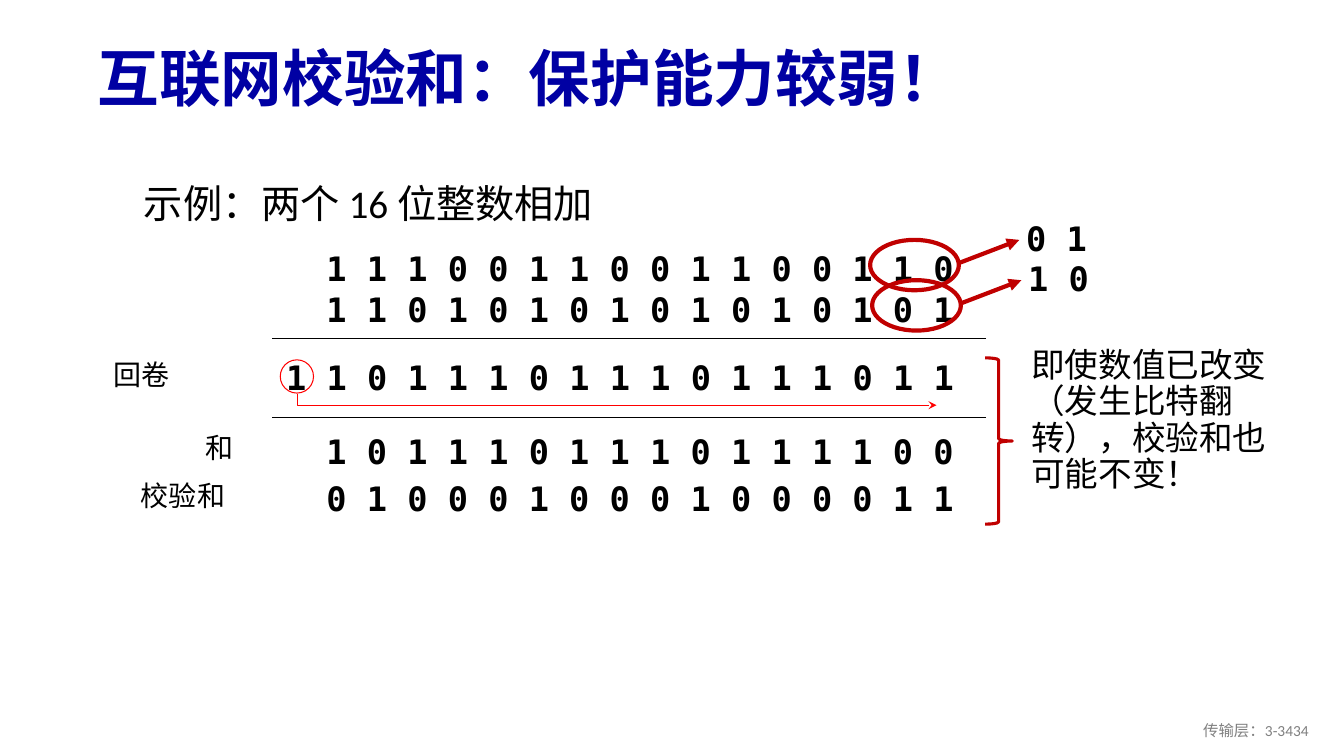
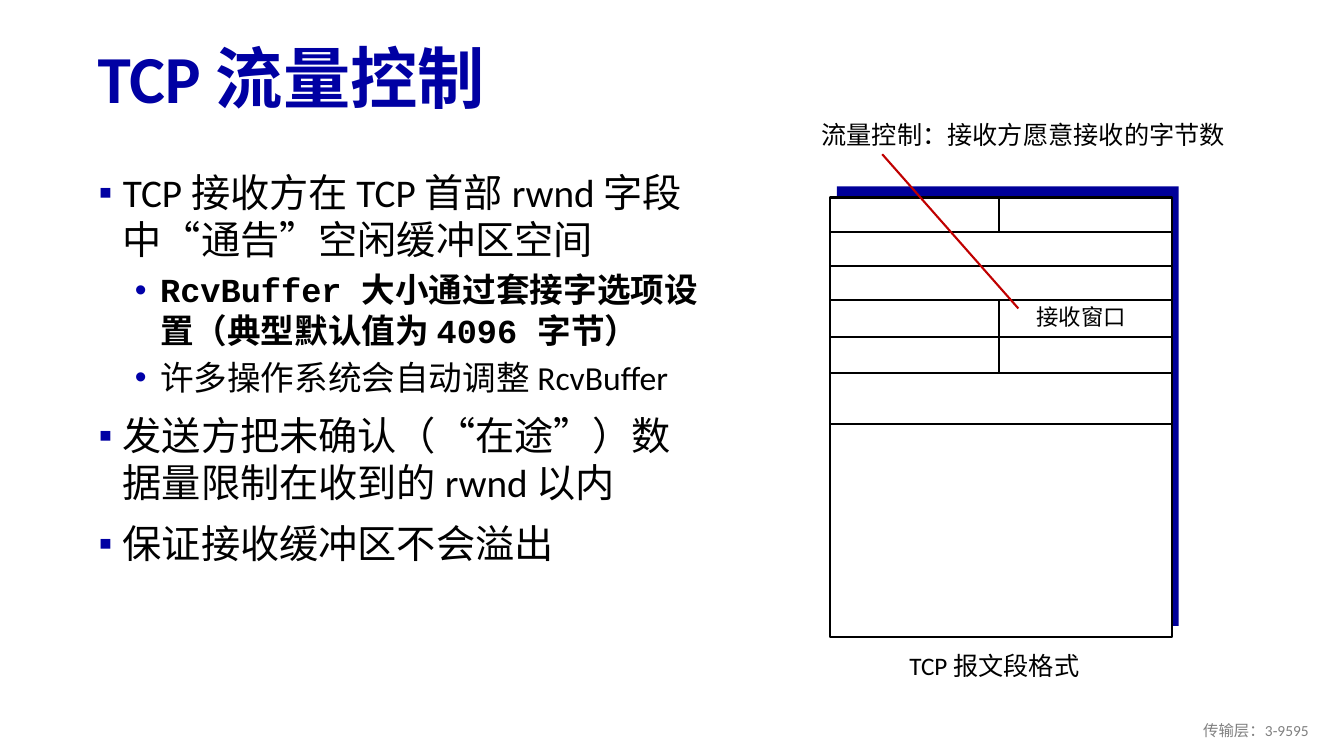
from dataclasses import dataclass
from itertools import accumulate
from typing import Optional

from lxml.etree import SubElement
from pptx import Presentation
from pptx.dml.color import RGBColor
from pptx.enum.shapes import MSO_CONNECTOR, MSO_SHAPE
from pptx.enum.text import MSO_ANCHOR, PP_ALIGN
from pptx.oxml.ns import qn
from pptx.util import Inches, Pt

BLACK = RGBColor(0x00, 0x00, 0x00)
WHITE = RGBColor(0xFF, 0xFF, 0xFF)
GRAY = RGBColor(0x80, 0x80, 0x80)
TITLE_BLUE = RGBColor(0x00, 0x00, 0xA3)
BULLET_BLUE = RGBColor(0x00, 0x00, 0xA8)
SHADOW_BLUE = RGBColor(0x00, 0x00, 0x99)
RED = RGBColor(0xFF, 0x00, 0x00)
DARK_RED = RGBColor(0xC0, 0x00, 0x00)

BODY_FONT = "Calibri"
BIT_FONT = "DejaVu Sans Mono"
CODE_FONT = "Courier New"
BLANK_LAYOUT = 6

BIT_PITCH = 0.4
BIT_LEFT = 3.14
RULE_LEFT, RULE_RIGHT = 2.7, 9.78


@dataclass(frozen=True)
class Style:
    size: float
    font: str = BODY_FONT
    color: RGBColor = BLACK
    bold: bool = False
    align: PP_ALIGN = PP_ALIGN.LEFT
    spacing: float = 1.0
    anchor: MSO_ANCHOR = MSO_ANCHOR.TOP


@dataclass(frozen=True)
class Level:
    mark: str
    color: RGBColor
    margin: float
    hanging: float
    before: float


@dataclass(frozen=True)
class Bullet:
    text: str
    level: Level
    style: Style


@dataclass(frozen=True)
class BitRow:
    bits: str
    top: float
    carry_columns: int = 0


@dataclass(frozen=True)
class Label:
    text: str
    left: float
    top: float


@dataclass(frozen=True)
class BitChange:
    bits: str
    left: float
    top: float


BITS = Style(24, BIT_FONT, bold=True)
LABEL = Style(20)
CAPTION = Style(18, spacing=0.9)
FOOTER = Style(11, color=GRAY, align=PP_ALIGN.RIGHT, anchor=MSO_ANCHOR.MIDDLE)
MAIN = Level("▪", TITLE_BLUE, 0.39, 0.24, 10)
SUB = Level("•", BULLET_BLUE, 0.76, 0.25, 5)

BIT_ROWS = (
    BitRow("1110011001100110", 2.41),
    BitRow("1101010101010101", 2.82),
    BitRow("11011101110111011", 3.49, carry_columns=1),
    BitRow("1011101110111100", 4.23),
    BitRow("0100010001000011", 4.69),
)
SUM_LABELS = (
    Label("回卷", 1.03, 3.5),
    Label("和", 1.94, 4.22),
    Label("校验和", 1.3, 4.7),
)
BIT_CHANGES = (BitChange("01", 8.63, 2.38), BitChange("10", 8.65, 2.78))
FLOW_BULLETS = (
    Bullet("TCP 接收方在 TCP 首部 rwnd 字段中“通告”空闲缓冲区空间", MAIN, Style(28)),
    Bullet("RcvBuffer 大小通过套接字选项设置（典型默认值为 4096 字节）", SUB,
           Style(24, CODE_FONT, bold=True)),
    Bullet("许多操作系统会自动调整 RcvBuffer", SUB, Style(24)),
    Bullet("发送方把未确认（“在途”）数据量限制在收到的 rwnd 以内", MAIN, Style(28)),
    Bullet("保证接收缓冲区不会溢出", MAIN, Style(28)),
)

SEGMENT_LEFT, SEGMENT_TOP = 8.23, 1.96
SEGMENT_WIDTH, SEGMENT_HEIGHT = 3.39, 4.36
HEADER_ROWS = (0.34, 0.34, 0.34, 0.36, 0.36, 0.51)
SPLIT_ROWS = (0, 3, 4)


def format_paragraph(para, style: Style) -> None:
    para.alignment = style.align
    para.line_spacing = style.spacing
    para.font.size = Pt(style.size)
    para.font.name = style.font
    para.font.bold = style.bold
    para.font.color.rgb = style.color


def add_frame(page, left: float, top: float, width: float, height: float):
    frame = page.shapes.add_textbox(*map(Inches, (left, top, width, height))).text_frame
    frame.word_wrap = True
    return frame


def add_text(page, text: str, left: float, top: float, width: float, height: float,
             style: Style) -> None:
    frame = add_frame(page, left, top, width, height)
    frame.vertical_anchor = style.anchor
    para = frame.paragraphs[0]
    para.text = text
    format_paragraph(para, style)


def add_bullets(page, bullets: tuple[Bullet, ...], left: float, top: float,
                width: float, height: float) -> None:
    frame = add_frame(page, left, top, width, height)
    for index, bullet in enumerate(bullets):
        para = frame.add_paragraph() if index else frame.paragraphs[0]
        para.text = bullet.text
        level = bullet.level
        properties = para._p.get_or_add_pPr()
        properties.set("marL", str(Inches(level.margin)))
        properties.set("indent", str(-Inches(level.hanging)))
        color = SubElement(properties, qn("a:buClr"))
        SubElement(color, qn("a:srgbClr"), val=str(level.color))
        SubElement(properties, qn("a:buFont"), typeface="Arial")
        SubElement(properties, qn("a:buChar"), char=level.mark)
        para.space_before = Pt(level.before if index else 0)
        format_paragraph(para, bullet.style)


def style_shape(shape, fill: Optional[RGBColor], line: Optional[RGBColor],
                weight: float) -> None:
    shape.shadow.inherit = False
    if fill is None:
        shape.fill.background()
    else:
        shape.fill.solid()
        shape.fill.fore_color.rgb = fill
    if line is None:
        shape.line.fill.background()
    else:
        shape.line.color.rgb = line
        shape.line.width = Pt(weight)


def add_shape(page, kind: MSO_SHAPE, left: float, top: float, width: float, height: float,
              fill: Optional[RGBColor] = None, line: Optional[RGBColor] = None,
              weight: float = 1) -> None:
    shape = page.shapes.add_shape(kind, *map(Inches, (left, top, width, height)))
    style_shape(shape, fill, line, weight)


def add_arrowhead(shape, kind: str) -> None:
    SubElement(shape.line._get_or_add_ln(), qn("a:tailEnd"), type=kind)


def add_line(page, start: tuple[float, float], end: tuple[float, float],
             color: RGBColor = BLACK, weight: float = 1.5, head: str = "") -> None:
    line = page.shapes.add_connector(MSO_CONNECTOR.STRAIGHT, *map(Inches, start + end))
    line.line.color.rgb = color
    line.line.width = Pt(weight)
    if head:
        add_arrowhead(line, head)
    SubElement(line._element.spPr, qn("a:effectLst"))


def add_page(deck, title: str, title_size: float, number: str):
    page = deck.slides.add_slide(deck.slide_layouts[BLANK_LAYOUT])
    add_text(page, title, 0.87, 0.32, 12.14, 0.98,
             Style(title_size, color=TITLE_BLUE, bold=True, spacing=0.9,
                   anchor=MSO_ANCHOR.MIDDLE))
    add_text(page, f"传输层：{number}", 10.08, 7.05, 3, 0.4, FOOTER)
    return page


def add_bits(page, bits: str, left: float, top: float) -> None:
    add_text(page, " ".join(bits), left, top, len(bits) * BIT_PITCH + 0.2, 0.5, BITS)


def add_carry_arrow(page) -> None:
    """Circle the carried bit and lead it round to the last column."""
    add_shape(page, MSO_SHAPE.OVAL, 2.78, 3.57, 0.33, 0.33, line=RED, weight=0.75)
    builder = page.shapes.build_freeform(Inches(2.95), Inches(3.91))
    corners = [(Inches(x), Inches(4.02)) for x in (2.95, 9.29)]
    builder.add_line_segments(corners, close=False)
    arrow = builder.convert_to_shape()
    style_shape(arrow, None, RED, 0.75)
    add_arrowhead(arrow, "stealth")


def add_bit_change(page, change: BitChange) -> None:
    left, top = change.left, change.top
    add_shape(page, MSO_SHAPE.OVAL, left, top, 0.88, 0.5, line=DARK_RED, weight=3)
    add_line(page, (left + 0.88, top + 0.23), (left + 1.48, top), DARK_RED, 3, "triangle")
    add_bits(page, change.bits, left + 1.45, top - 0.27)


def build_checksum_page(deck) -> None:
    page = add_page(deck, "互联网校验和：保护能力较弱！", 44, "3-3434")
    add_text(page, "示例：两个 16 位整数相加", 1.33, 1.59, 8.5, 0.8, Style(28, spacing=1.3))
    for row in BIT_ROWS:
        add_bits(page, row.bits, BIT_LEFT - row.carry_columns * BIT_PITCH, row.top)
    for label in SUM_LABELS:
        add_text(page, label.text, label.left, label.top, 1.4, 0.44, LABEL)
    for height in (3.36, 4.14):
        add_line(page, (RULE_RIGHT, height), (RULE_LEFT, height), weight=1)
    add_carry_arrow(page)
    for change in BIT_CHANGES:
        add_bit_change(page, change)
    add_shape(page, MSO_SHAPE.RIGHT_BRACE, 9.77, 3.55, 0.27, 1.65, line=DARK_RED, weight=2.25)
    add_text(page, "即使数值已改变（发生比特翻转），校验和也可能不变！", 10.13, 3.41, 2.63, 1.92,
             Style(24, spacing=0.9))


def add_segment(page) -> None:
    """Draw the TCP segment: header rows, split fields and the data area."""
    add_shape(page, MSO_SHAPE.RECTANGLE, SEGMENT_LEFT + 0.07, SEGMENT_TOP - 0.11,
              SEGMENT_WIDTH, SEGMENT_HEIGHT, fill=SHADOW_BLUE)
    add_shape(page, MSO_SHAPE.RECTANGLE, SEGMENT_LEFT, SEGMENT_TOP,
              SEGMENT_WIDTH, SEGMENT_HEIGHT, WHITE, BLACK, 1.5)
    edges = list(accumulate(HEADER_ROWS, initial=SEGMENT_TOP))
    for edge in edges[1:]:
        add_line(page, (SEGMENT_LEFT, edge), (SEGMENT_LEFT + SEGMENT_WIDTH, edge))
    middle = SEGMENT_LEFT + SEGMENT_WIDTH / 2 - 0.02
    for row in SPLIT_ROWS:
        add_line(page, (middle, edges[row]), (middle, edges[row + 1]))


def build_flow_control_page(deck) -> None:
    page = add_page(deck, "TCP 流量控制", 48, "3-9595")
    add_bullets(page, FLOW_BULLETS, 0.73, 1.62, 6.37, 5.37)
    add_text(page, "流量控制：接收方愿意接收的字节数", 8.05, 1.17, 4.76, 0.37, CAPTION)
    add_segment(page)
    add_text(page, "接收窗口", 9.86, 2.96, 1.73, 0.37,
             Style(16, "Arial", align=PP_ALIGN.CENTER))
    add_line(page, (10.1, 3.06), (8.75, 1.53), DARK_RED)
    add_text(page, "TCP 报文段格式", 8.92, 6.44, 2.53, 0.37, CAPTION)


def main() -> None:
    deck = Presentation()
    deck.slide_width, deck.slide_height = Inches(13.33), Inches(7.5)
    build_checksum_page(deck)
    build_flow_control_page(deck)
    deck.save("out.pptx")


if __name__ == "__main__":
    main()
